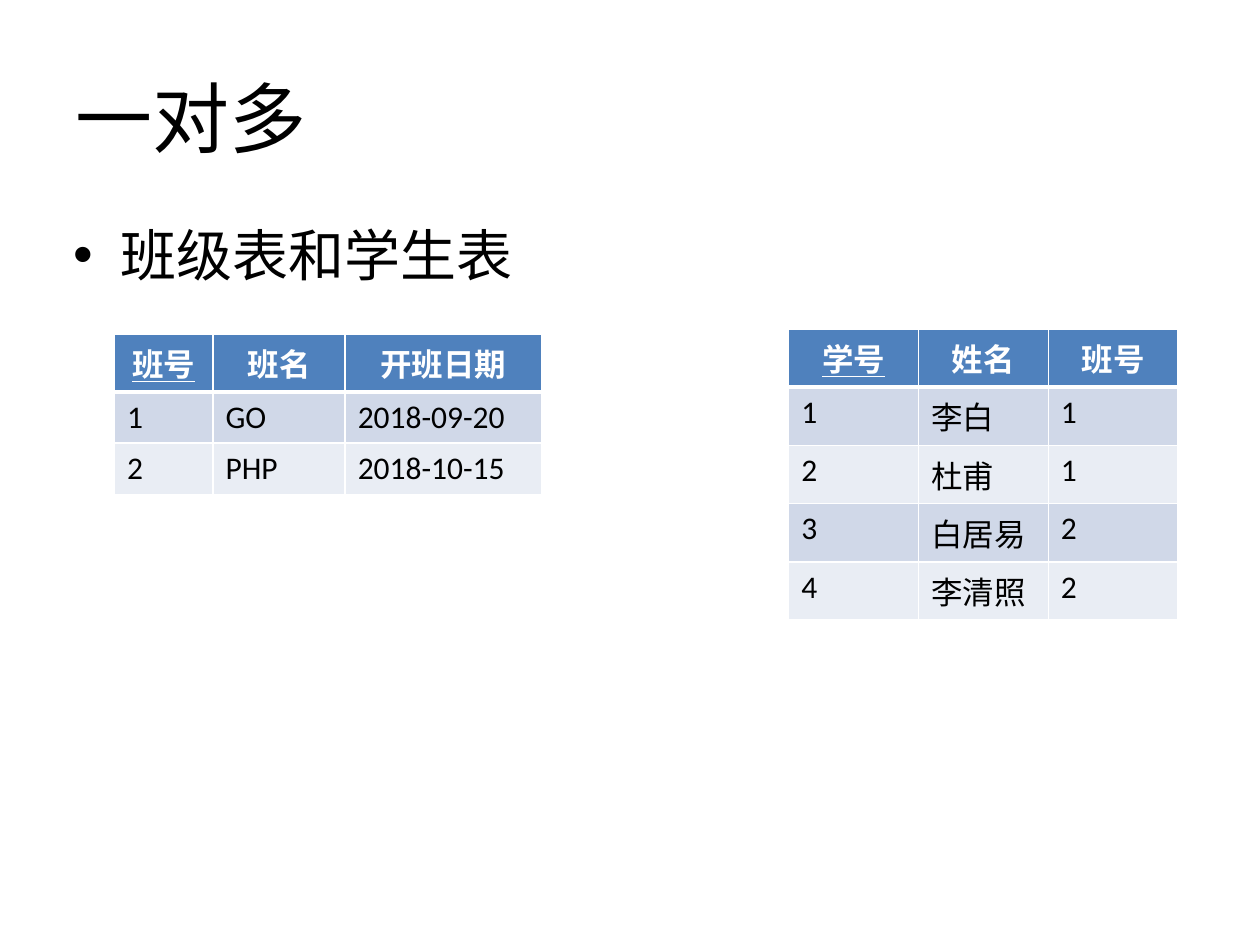
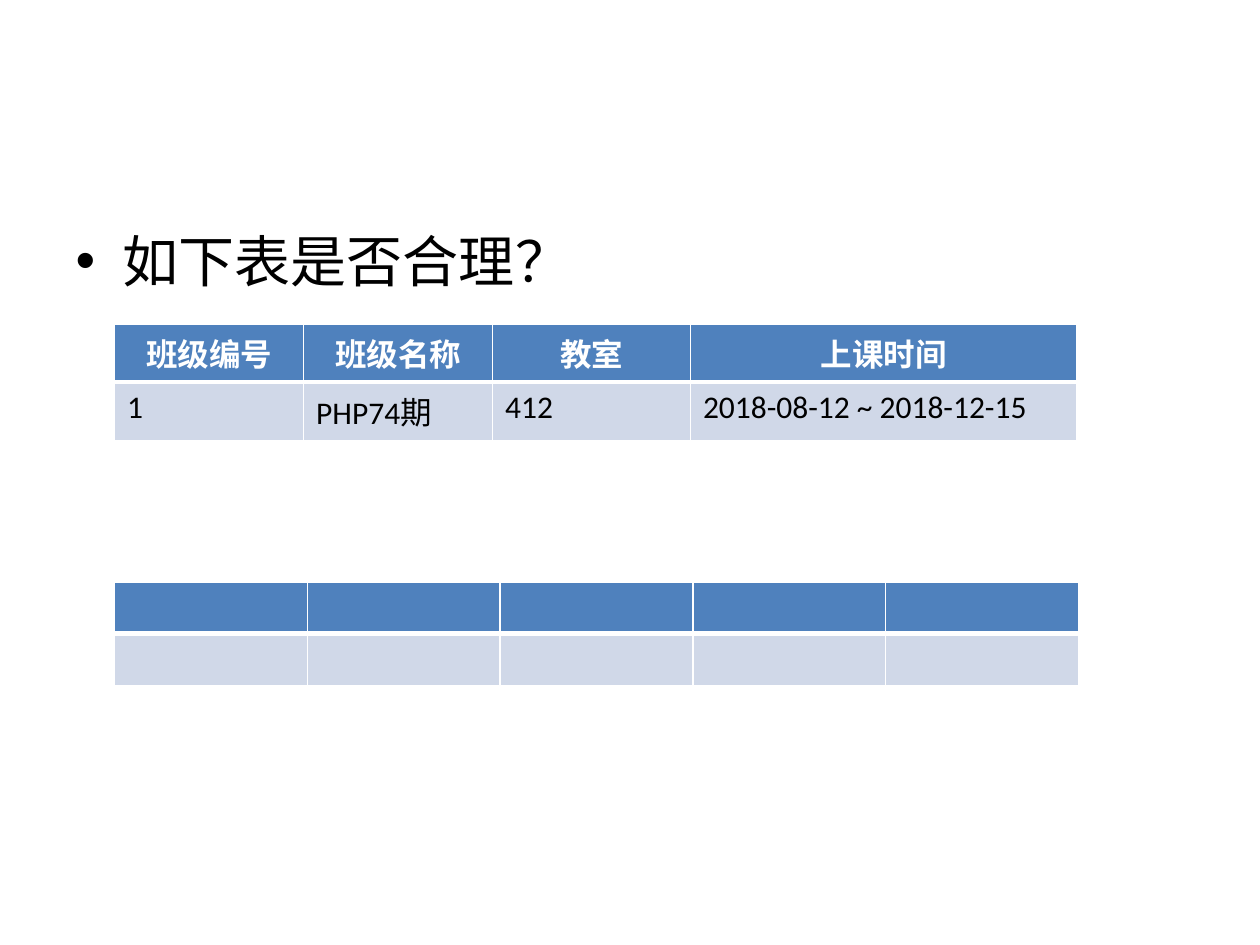
from pptx import Presentation
from pptx.dml.color import RGBColor
from pptx.enum.text import MSO_ANCHOR, PP_ALIGN
from pptx.oxml import parse_xml
from pptx.oxml.ns import nsdecls
from pptx.util import Inches, Pt

COLORS = {
    "text": "000000",
    "white": "FFFFFF",
    "header": "4F81BD",
    "odd": "D0D8E8",
    "even": "E9EDF4",
}
FONT = "Calibri"
TABLE_LEFT = 0.91


def rgb(name):
    return RGBColor.from_string(COLORS[name])


def style(p, size, color="text", bold=False):
    p.font.name = FONT
    p.font.size = Pt(size)
    p.font.bold = bold
    p.font.color.rgb = rgb(color)


def place(shape, left, top, width, height):
    shape.left, shape.top = Inches(left), Inches(top)
    shape.width, shape.height = Inches(width), Inches(height)


def add_slide(prs, title, bullet, body_left, body_top):
    s = prs.slides.add_slide(prs.slide_layouts[1])
    # Title
    if title:
        place(s.shapes.title, 0.5, 0.3, 9, 1.25)
        tf = s.shapes.title.text_frame
        tf.text = title
        tf.vertical_anchor = MSO_ANCHOR.MIDDLE
        p = tf.paragraphs[0]
        p.alignment = PP_ALIGN.LEFT
        style(p, 44)
    else:
        title_shape = s.shapes.title.element
        title_shape.getparent().remove(title_shape)
    # Bulleted body
    body = s.placeholders[1]
    place(body, body_left, body_top, 9, 4.95)
    body.text_frame.text = bullet
    style(body.text_frame.paragraphs[0], 32)
    return s


def set_borders(cell, top, bottom):
    """White cell borders; widths in points, 1 pt at the sides."""
    tcPr = cell._tc.get_or_add_tcPr()
    widths = {"lnL": 1, "lnR": 1, "lnT": top, "lnB": bottom}
    for i, (tag, width) in enumerate(widths.items()):
        tcPr.insert(i, parse_xml(
            f'<a:{tag} {nsdecls("a")} w="{Pt(width)}"><a:solidFill>'
            f'<a:srgbClr val="{COLORS["white"]}"/></a:solidFill></a:{tag}>'))


def add_table(s, left, top, col_widths, row_heights, rows, key_column=None):
    """Banded table with a header row; the key column's heading is underlined."""
    frame = s.shapes.add_table(
        len(rows), len(col_widths), Inches(left), Inches(top),
        Inches(sum(col_widths)), Inches(sum(row_heights)))
    table = frame.table
    for column, width in zip(table.columns, col_widths):
        column.width = Inches(width)
    for r, (row, height) in enumerate(zip(rows, row_heights)):
        table.rows[r].height = Inches(height)
        is_header = r == 0
        fill = "header" if is_header else ("odd" if r % 2 else "even")
        for c, text in enumerate(row):
            cell = table.cell(r, c)
            cell.fill.solid()
            cell.fill.fore_color.rgb = rgb(fill)
            set_borders(cell, 3 if r == 1 else 1, 3 if is_header else 1)
            p = cell.text_frame.paragraphs[0]
            style(p, 18, "white" if is_header else "text", is_header)
            if is_header:
                p.alignment = PP_ALIGN.CENTER
            if text:
                run = p.add_run()
                run.text = text
                if is_header and c == key_column:
                    run.font.underline = True


def main():
    prs = Presentation()
    prs.slide_width, prs.slide_height = Inches(10), Inches(7.5)

    # Slide 1: classes and their students
    s = add_slide(prs, "一对多", "班级表和学生表", 0.48, 1.7)
    classes = [
        ["班号", "班名", "开班日期"],
        ["1", "GO", "2018-09-20"],
        ["2", "PHP", "2018-10-15"],
    ]
    students = [
        ["学号", "姓名", "班号"],
        ["1", "李白", "1"],
        ["2", "杜甫", "1"],
        ["3", "白居易", "2"],
        ["4", "李清照", "2"],
    ]
    add_table(s, TABLE_LEFT, 2.65, [0.78, 1.05, 1.56], [0.4] * 3, classes, 0)
    add_table(s, 6.26, 2.61, [1.03] * 3, [0.41] * 5, students, 0)

    # Slide 2: one class table and a blank one to fill in
    s = add_slide(prs, None, "如下表是否合理？", 0.5, 1.75)
    schedule = [
        ["班级编号", "班级名称", "教室", "上课时间"],
        ["1", "PHP74期", "412", "2018-08-12 ~ 2018-12-15"],
    ]
    add_table(s, TABLE_LEFT, 2.57, [1.5, 1.5, 1.57, 3.07], [0.15, 0.41], schedule)
    add_table(s, TABLE_LEFT, 4.62, [1.53] * 5, [0.41] * 2, [[""] * 5] * 2)

    prs.save("out.pptx")


if __name__ == "__main__":
    main()
